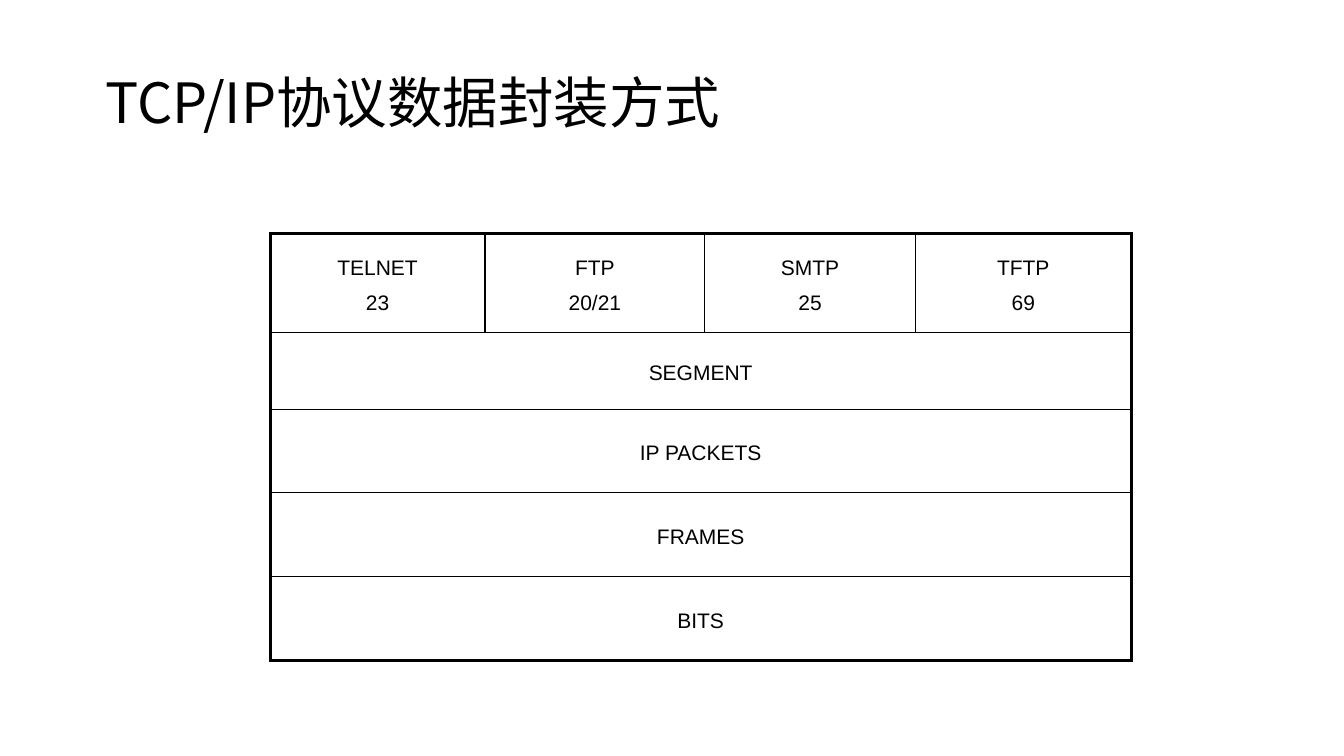
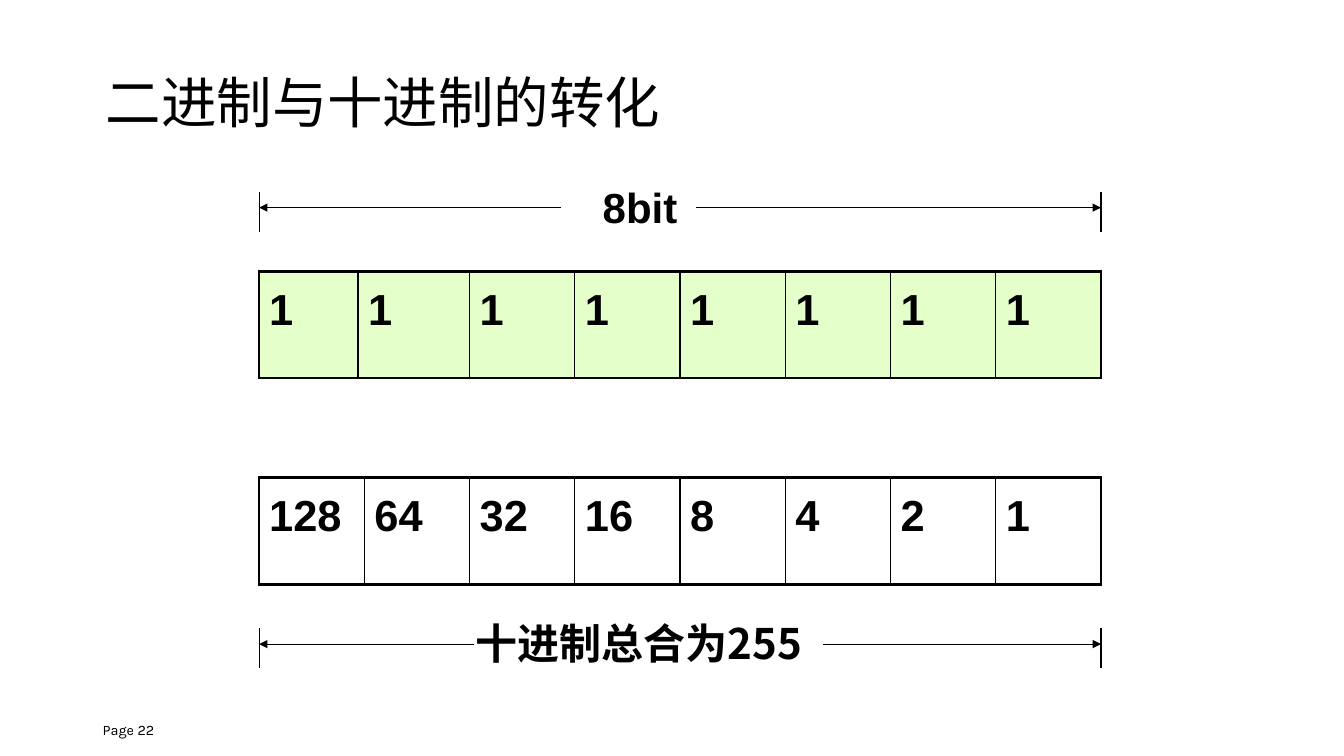
import dataclasses

import lxml.etree
import pptx
import pptx.dml.color
import pptx.enum.shapes
import pptx.enum.text
import pptx.oxml
import pptx.oxml.ns
import pptx.util

Inches = pptx.util.Inches
Pt = pptx.util.Pt
qn = pptx.oxml.ns.qn
Align = pptx.enum.text.PP_ALIGN
Anchor = pptx.enum.text.MSO_ANCHOR


@dataclasses.dataclass(frozen=True)
class Theme:
    """Colours, fonts, type sizes and line widths of the deck."""
    ink: str = "000000"
    paper: str = "FFFFFF"
    bit_fill: str = "CCFF99"
    bit_opacity: float = 0.5
    sans: str = "Arial"
    chinese: str = "Noto Sans CJK SC"
    footer_font: str = "Karla"
    title_size: float = 39.6
    cell_size: float = 15
    digit_size: float = 31
    label_size: float = 30
    footer_size: float = 10.3
    outer_rule: float = 2.25
    inner_rule: float = 1
    thin_rule: float = 0.75


def rgb(value):
    """Turn a hex string into a colour."""
    return pptx.dml.color.RGBColor.from_string(value)


def write_text(frame, text, *, font, size, color, bold=False, align=Align.LEFT,
               anchor=Anchor.TOP, line_spacing=1.0, gap=0):
    """Fill a text frame, one paragraph for each line of text."""
    frame.word_wrap = True
    frame.vertical_anchor = anchor
    for index, line in enumerate(text.split("\n")):
        para = frame.add_paragraph() if index else frame.paragraphs[0]
        para.alignment = align
        para.line_spacing = line_spacing
        para.space_before = para.space_after = Pt(gap)
        span = para.add_run()
        span.text = line
        span.font.name = font
        span.font.size = Pt(size)
        span.font.bold = bold
        span.font.color.rgb = rgb(color)
        east_asian = lxml.etree.SubElement(span.font._element, qn("a:ea"))
        east_asian.set("typeface", font)


class Slides:
    """Holds the deck, its style and the current page."""

    def __init__(self, theme):
        """Start an empty widescreen deck."""
        self.theme = theme
        self.deck = pptx.Presentation()
        self.deck.slide_width = Inches(13.33)
        self.deck.slide_height = Inches(7.5)
        self.page = None

    def add_page(self, title):
        """Add a page with its title."""
        self.page = self.deck.slides.add_slide(self.deck.slide_layouts[6])
        self.page.background.fill.solid()
        self.page.background.fill.fore_color.rgb = rgb(self.theme.paper)
        self.text(title, 0.95, 0.7, 9.99, 0.69, font=self.theme.chinese,
                  size=self.theme.title_size, anchor=Anchor.MIDDLE, line_spacing=0.9)

    def text(self, text, left, top, width, height, **style):
        """Add a text box."""
        box = self.page.shapes.add_textbox(
            Inches(left), Inches(top), Inches(width), Inches(height))
        write_text(box.text_frame, text, color=self.theme.ink, **style)

    def footer(self, text):
        """Add the page footer."""
        self.text(text, 0.92, 7.04, 3, 0.4, font=self.theme.footer_font,
                  size=self.theme.footer_size, anchor=Anchor.MIDDLE)

    def line(self, start, end, arrow=False):
        """Add a thin line, with an arrowhead at its end if asked."""
        connector = self.page.shapes.add_connector(
            pptx.enum.shapes.MSO_CONNECTOR.STRAIGHT,
            *(Inches(length) for length in (*start, *end)))
        connector.line.width = Pt(self.theme.thin_rule)
        connector.line.color.rgb = rgb(self.theme.ink)
        if arrow:
            head = lxml.etree.SubElement(connector.line._get_or_add_ln(), qn("a:tailEnd"))
            head.set("type", "triangle")
        lxml.etree.SubElement(connector._element.spPr, qn("a:effectLst"))

    def dimension(self, text, y, left, right, gap, label, font):
        """Add a measure between two ticks, broken by its label."""
        for edge, inner in zip((left, right), gap):
            self.line((edge, y - 0.16), (edge, y + 0.24))
            self.line((inner, y), (edge, y), arrow=True)
        label_left, label_width = label
        self.text(text, label_left, y - 0.31, label_width, 0.61, font=font,
                  size=self.theme.label_size, bold=True)

    def borders(self, cell, outer):
        """Rule a cell, heavier on the sides that lie on the table's edge."""
        properties = cell._tc.get_or_add_tcPr()
        for index, side in enumerate("LRTB"):
            width = self.theme.outer_rule if side in outer else self.theme.inner_rule
            rule = pptx.oxml.parse_xml(
                f'<a:ln{side} {pptx.oxml.ns.nsdecls("a")} w="{Pt(width)}"><a:solidFill>'
                f'<a:srgbClr val="{self.theme.ink}"/></a:solidFill></a:ln{side}>')
            properties.insert(index, rule)

    def table(self, rows, left, top, columns, heights, *, size, fill=None, **style):
        """Add a ruled table; a row with one text spans every column."""
        table = self.page.shapes.add_table(
            len(heights), len(columns), Inches(left), Inches(top),
            Inches(sum(columns)), Inches(sum(heights))).table
        table.first_row = table.horz_banding = False
        for column, width in zip(table.columns, columns):
            column.width = Inches(width)
        for row, height in zip(table.rows, heights):
            row.height = Inches(height)
        last_row, last_column = len(heights) - 1, len(columns) - 1
        for r, texts in enumerate(rows):
            spans_row = len(texts) == 1
            if spans_row:
                table.cell(r, 0).merge(table.cell(r, last_column))
            for c in range(len(columns)):
                cell = table.cell(r, c)
                self.cell_fill(cell, fill)
                sides = {"L": c == 0, "R": spans_row or c == last_column,
                         "T": r == 0, "B": r == last_row}
                self.borders(cell, [side for side, outer in sides.items() if outer])
            for c, text in enumerate(texts):
                cell = table.cell(r, c)
                write_text(cell.text_frame, text, font=self.theme.sans, size=size,
                           color=self.theme.ink, line_spacing=1.2, gap=size * 0.17, **style)
                cell.vertical_anchor = style.get("anchor", Anchor.TOP)

    def cell_fill(self, cell, color):
        """Give a cell a translucent fill, or none."""
        if color is None:
            cell.fill.background()
            return
        cell.fill.solid()
        cell.fill.fore_color.rgb = rgb(color)
        tint = cell._tc.tcPr.find(".//" + qn("a:srgbClr"))
        alpha = lxml.etree.SubElement(tint, qn("a:alpha"))
        alpha.set("val", str(int(self.theme.bit_opacity * 100000)))


def encapsulation_page(slides):
    """Show the layers of TCP/IP encapsulation."""
    slides.add_page("TCP/IP协议数据封装方式")
    rows = [["TELNET\n23", "FTP\n20/21", "SMTP\n25", "TFTP\n69"],
            ["SEGMENT"], ["IP PACKETS"], ["FRAMES"], ["BITS"]]
    slides.table(rows, 2.68, 2.32, [2.13, 2.18, 2.09, 2.14], [0.98, 0.76] + [0.83] * 3,
                 size=slides.theme.cell_size, align=Align.CENTER, anchor=Anchor.MIDDLE)


def binary_page(slides):
    """Show eight bits and their decimal weights."""
    theme = slides.theme
    slides.add_page("二进制与十进制的转化")
    slides.footer("Page 22")
    left, width, bits = 2.57, 8.35, 8
    right, step, first = left + width, width / bits, 0.98
    bit_columns = [first, 2 * step - first] + [step] * (bits - 2)
    weights = [str(2 ** power) for power in reversed(range(bits))]
    slides.table([["1"] * bits], left, 2.69, bit_columns, [1.06],
                 size=theme.digit_size, bold=True, fill=theme.bit_fill)
    slides.table([weights], left, 4.74, [step] * bits, [1.06],
                 size=theme.digit_size, bold=True)
    slides.dimension("十进制总合为255", 6.39, left, right, (4.7, 8.16),
                     (4.62, 3.86), theme.chinese)
    slides.dimension("8bit", 2.06, left, right, (5.56, 6.9), (5.88, 1.03), theme.sans)


def main():
    """Build and save the deck."""
    slides = Slides(Theme())
    encapsulation_page(slides)
    binary_page(slides)
    slides.deck.save("out.pptx")


if __name__ == "__main__":
    main()
